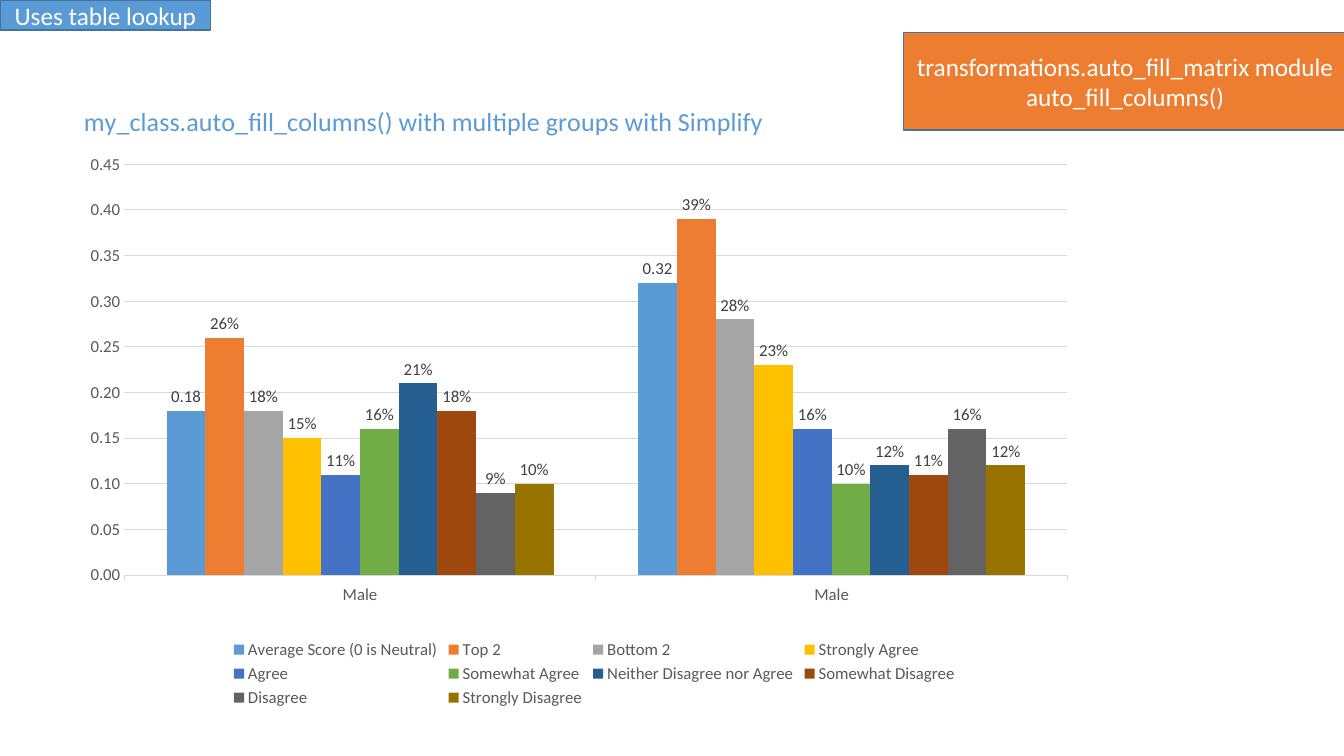
from dataclasses import dataclass

from lxml import etree
from pptx import Presentation
from pptx import util as u
from pptx.chart.chart import Chart
from pptx.chart.data import CategoryChartData
from pptx.dml.color import RGBColor
from pptx.enum import chart as ch, shapes, text
from pptx.oxml import ns
from pptx.slide import Slide


@dataclass(frozen=True)
class Theme:
    font: str = "Calibri"
    blue: str = "5B9BD5"
    orange: str = "ED7D31"
    outline: str = "43739E"
    white: str = "FFFFFF"
    black: str = "000000"
    axis_text: str = "595959"
    label_text: str = "404040"
    grid: str = "D9D9D9"
    chart_size: float = 10
    label_size: float = 12
    callout_size: float = 18
    title_size: float = 18.6


@dataclass(frozen=True)
class Callout:
    left: float
    top: float
    width: float
    height: float
    fill: str
    lines: tuple[str, ...]


@dataclass(frozen=True)
class Answer:
    name: str
    scores: tuple[float, float]
    color: str
    label_format: str = "0%"


THEME = Theme()
CHART_TITLE = "my_class.auto_fill_columns() with multiple groups with Simplify"
GROUPS = ("Male", "Male")
ANSWERS = (
    Answer("Average Score (0 is Neutral)", (0.18, 0.32), THEME.blue, "0.00"),
    Answer("Top 2", (0.26, 0.39), THEME.orange),
    Answer("Bottom 2", (0.18, 0.28), "A5A5A5"),
    Answer("Strongly Agree", (0.15, 0.23), "FFC000"),
    Answer("Agree", (0.11, 0.16), "4472C4"),
    Answer("Somewhat Agree", (0.16, 0.10), "70AD47"),
    Answer("Neither Disagree nor Agree", (0.21, 0.12), "255E91"),
    Answer("Somewhat Disagree", (0.18, 0.11), "9E480E"),
    Answer("Disagree", (0.09, 0.16), "636363"),
    Answer("Strongly Disagree", (0.10, 0.12), "997300"),
)
CALLOUTS = (
    Callout(8.96, 0.32, 4.4, 0.97, THEME.orange,
            ("transformations.auto_fill_matrix module", "auto_fill_columns()")),
    Callout(0, 0, 2.09, 0.3, THEME.blue, ("Uses table lookup",)),
)


def rgb(color: str) -> RGBColor:
    return RGBColor.from_string(color)


def set_font(font, size: float, color: str) -> None:
    font.name = THEME.font
    font.size = u.Pt(size)
    font.bold = False
    font.color.rgb = rgb(color)


def set_line(line, color: str, width: float) -> None:
    line.color.rgb = rgb(color)
    line.width = u.Pt(width)


def set_layout(parent, index: int, **settings: float | str) -> None:
    """Give a chart part a manual layout, in fractions of the chart."""
    for old in parent.findall(ns.qn("c:layout")):
        parent.remove(old)
    layout = etree.Element(ns.qn("c:layout"))
    manual = etree.SubElement(layout, ns.qn("c:manualLayout"))
    for tag, value in settings.items():
        etree.SubElement(manual, ns.qn(f"c:{tag}")).set("val", str(value))
    parent.insert(index, layout)


def style_title(chart: Chart) -> None:
    title = chart.chart_title
    title.text_frame.text = CHART_TITLE
    set_font(title.text_frame.paragraphs[0].font, THEME.title_size, THEME.blue)
    title.include_in_layout = False
    set_layout(title.element, 1, xMode="edge", yMode="edge", x=0.01, y=0.03)


def style_axes(chart: Chart) -> None:
    groups, scores = chart.category_axis, chart.value_axis
    for axis in (groups, scores):
        set_font(axis.tick_labels.font, THEME.label_size, THEME.axis_text)
        axis.minor_tick_mark = ch.XL_TICK_MARK.NONE
    groups.major_tick_mark = ch.XL_TICK_MARK.OUTSIDE
    groups.crosses = ch.XL_AXIS_CROSSES.MAXIMUM
    set_line(groups.format.line, THEME.grid, 0.75)

    scores.major_tick_mark = ch.XL_TICK_MARK.NONE
    scores.minimum_scale, scores.maximum_scale, scores.major_unit = 0, 0.45, 0.05
    scores.tick_labels.number_format = "0.00"
    scores.tick_labels.number_format_is_linked = False
    scores.format.line.fill.background()
    set_line(scores.major_gridlines.format.line, THEME.grid, 0.75)


def style_columns(chart: Chart) -> None:
    plot = chart.plots[0]
    plot.gap_width, plot.overlap, plot.vary_by_categories = 219, 0, False
    for answer, columns in zip(ANSWERS, plot.series):
        columns.format.fill.solid()
        columns.format.fill.fore_color.rgb = rgb(answer.color)
        labels = columns.data_labels
        labels.show_value = True
        labels.position = ch.XL_LABEL_POSITION.OUTSIDE_END
        labels.number_format = answer.label_format
        labels.number_format_is_linked = False
        set_font(labels.font, THEME.label_size, THEME.label_text)


def add_answer_chart(slide: Slide) -> None:
    data = CategoryChartData()
    data.categories = GROUPS
    for answer in ANSWERS:
        data.add_series(answer.name, answer.scores)
    chart = slide.shapes.add_chart(
        ch.XL_CHART_TYPE.COLUMN_CLUSTERED, u.Inches(0.68), u.Inches(0.79),
        u.Inches(10.43), u.Inches(6.27), data).chart
    set_font(chart.font, THEME.chart_size, THEME.black)
    style_title(chart)
    style_axes(chart)
    style_columns(chart)
    chart.has_legend = True
    chart.legend.position = ch.XL_LEGEND_POSITION.BOTTOM
    chart.legend.include_in_layout = False
    set_font(chart.legend.font, THEME.label_size, THEME.axis_text)
    plot_area = chart.element.find(f".//{ns.qn('c:plotArea')}")
    set_layout(plot_area, 0, layoutTarget="inner", xMode="edge", yMode="edge",
               x=0.053, y=0.134, w=0.897, h=0.65)


def add_callout(slide: Slide, callout: Callout) -> None:
    box = slide.shapes.add_shape(
        shapes.MSO_SHAPE.RECTANGLE, u.Inches(callout.left), u.Inches(callout.top),
        u.Inches(callout.width), u.Inches(callout.height))
    box.shadow.inherit = False
    box.fill.solid()
    box.fill.fore_color.rgb = rgb(callout.fill)
    set_line(box.line, THEME.outline, 1)
    frame = box.text_frame
    frame.word_wrap = True
    frame.vertical_anchor = text.MSO_ANCHOR.MIDDLE
    frame.text = "\n".join(callout.lines)
    for paragraph in frame.paragraphs:
        paragraph.alignment = text.PP_ALIGN.CENTER
        set_font(paragraph.font, THEME.callout_size, THEME.white)


def main() -> None:
    deck = Presentation()
    deck.slide_width, deck.slide_height = u.Inches(13.33), u.Inches(7.5)
    slide = deck.slides.add_slide(deck.slide_layouts[6])
    add_answer_chart(slide)
    for callout in CALLOUTS:
        add_callout(slide, callout)
    deck.save("out.pptx")


if __name__ == "__main__":
    main()
